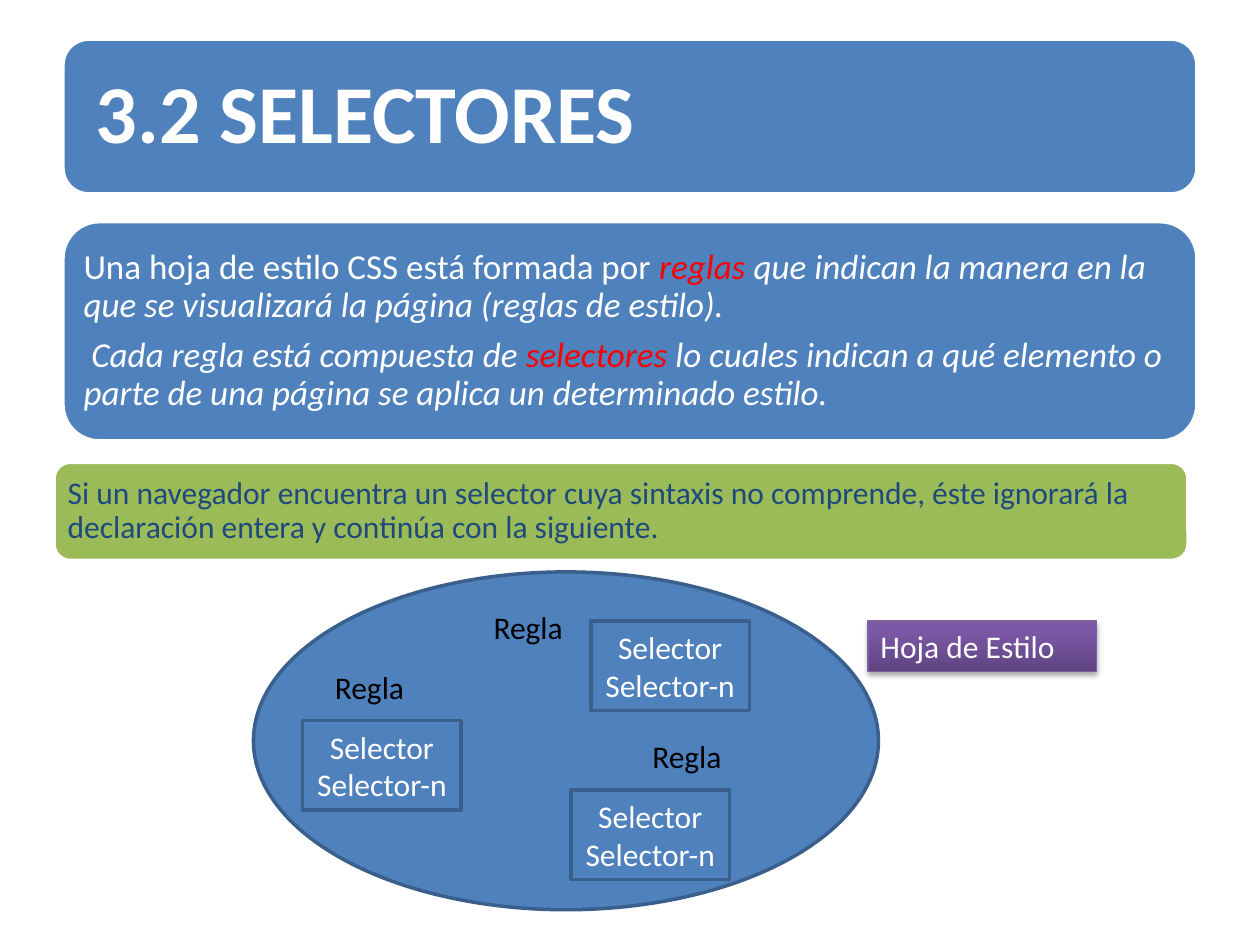
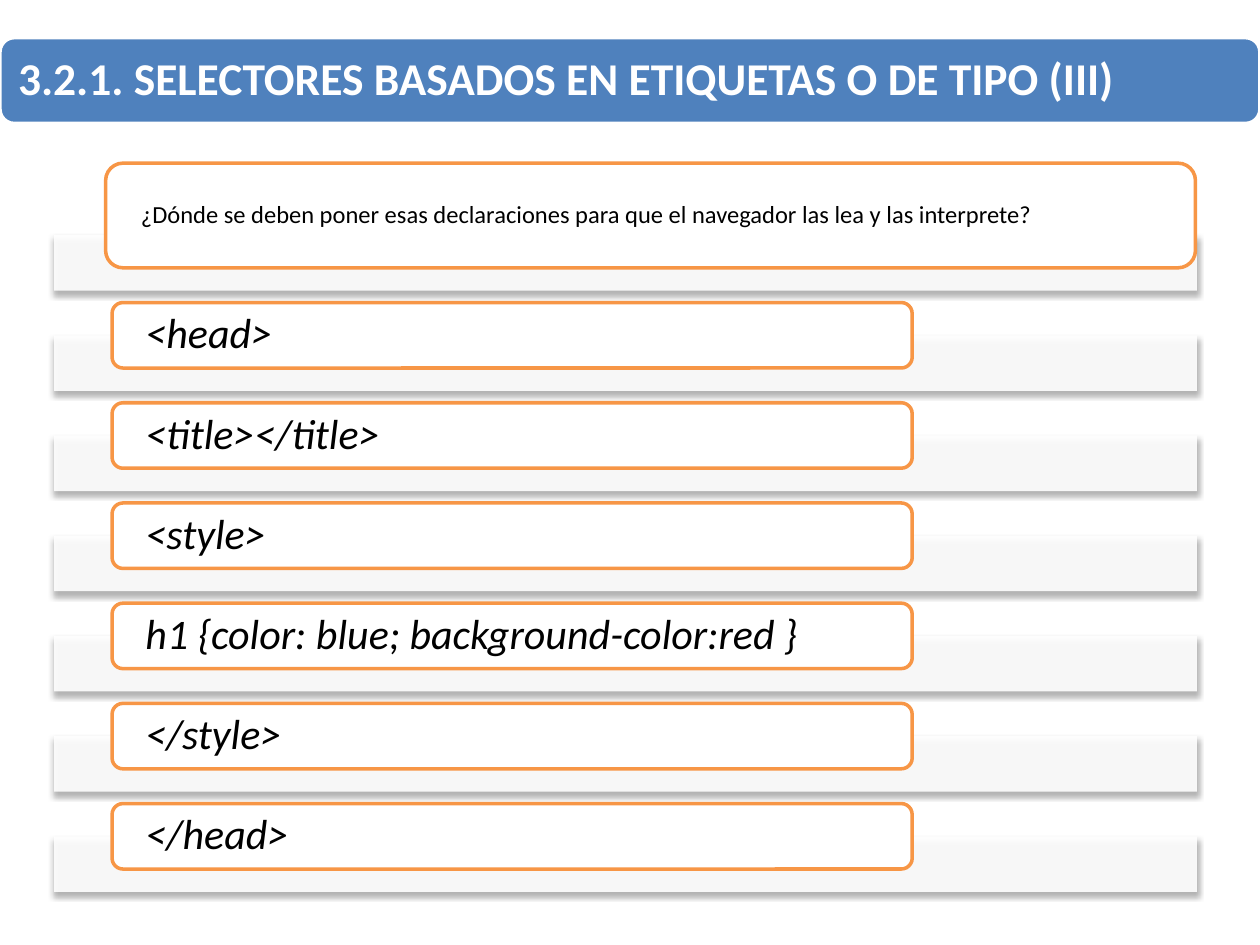
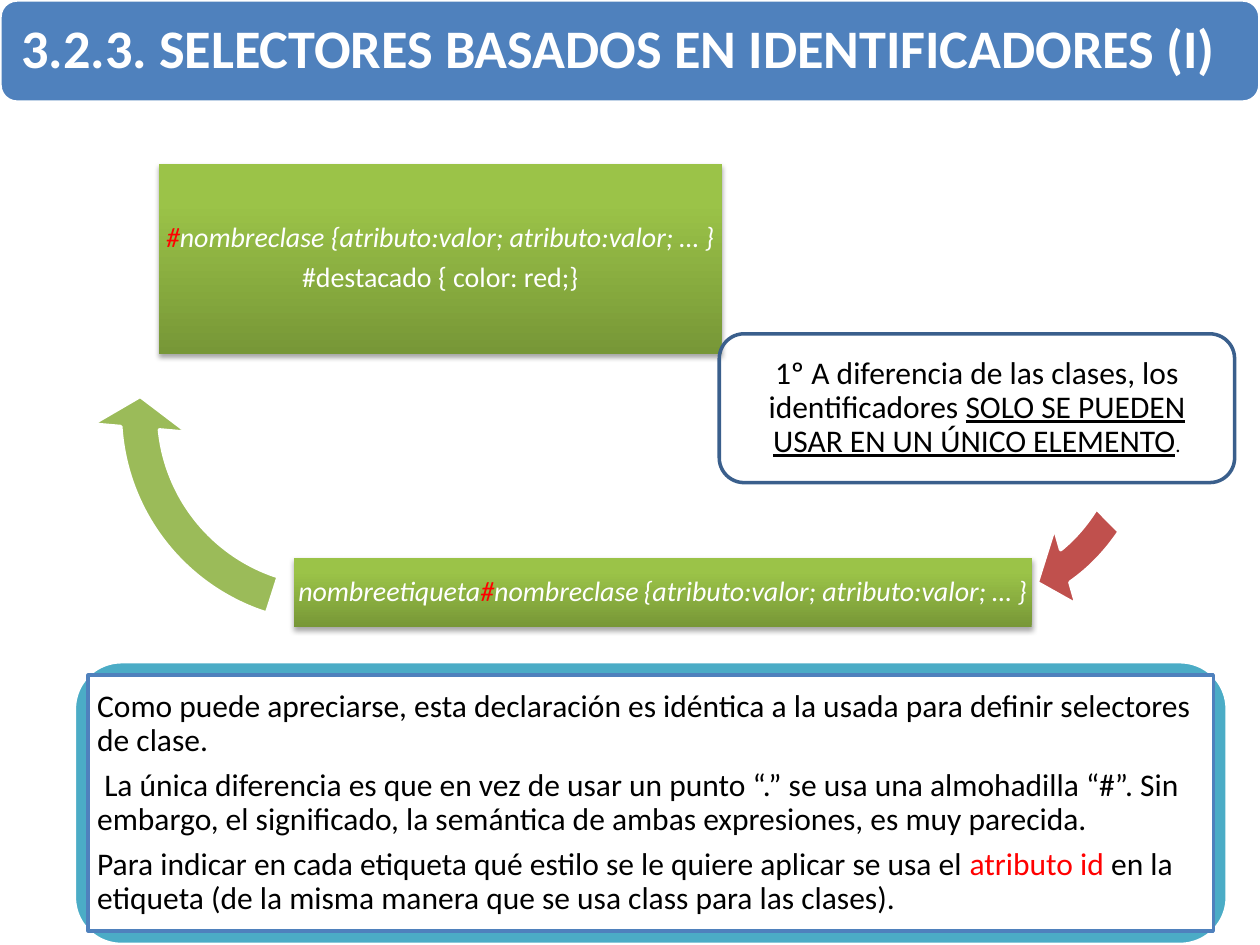
from lxml import etree
from pptx import Presentation
from pptx.dml.color import RGBColor
from pptx.enum import shapes, text
from pptx.oxml.ns import qn
from pptx.util import Cm, Pt

FONT = "Calibri"
BLUE = RGBColor(0x4F, 0x81, 0xBD)
DARK_BLUE = RGBColor(0x3A, 0x5F, 0x8C)
NAVY = RGBColor(0x1F, 0x49, 0x7D)
GREEN = RGBColor(0x9B, 0xBB, 0x59)
TEAL = RGBColor(0x4B, 0xAC, 0xC6)
ORANGE = RGBColor(0xF7, 0x96, 0x46)
BRICK = RGBColor(0xC0, 0x50, 0x4D)
RED = RGBColor(0xFF, 0, 0)
WHITE = RGBColor(0xFF, 0xFF, 0xFF)
BLACK = RGBColor(0, 0, 0)
# Gradients run from the bottom colour to the top colour.
PURPLE_FADE = (RGBColor(0x5F, 0x44, 0x80), RGBColor(0x7B, 0x58, 0xA6))
GREEN_FADE = (RGBColor(0x77, 0x97, 0x37), RGBColor(0x9B, 0xC3, 0x48))

RECT = shapes.MSO_SHAPE.RECTANGLE
ROUND = shapes.MSO_SHAPE.ROUNDED_RECTANGLE
OVAL = shapes.MSO_SHAPE.OVAL
ARC_ARROW = shapes.MSO_SHAPE.CIRCULAR_ARROW

# Shadow: opacity in percent, blur and distance in points
SOFT_SHADOW = (35, 3.1, 1.8)
STRIP_SHADOW = (32, 3.5, 2.2)

# A paragraph is a list of spans: (text, style that differs from the box).
ITALIC = {"italic": True}
MARK = {"color": RED}
ITALIC_MARK = {"italic": True, "color": RED}

INTRO = [
    [("Una hoja de estilo CSS está formada por ", {}),
     ("reglas", ITALIC_MARK),
     (" que indican la manera en la que se visualizará la página (reglas de estilo).", ITALIC)],
    [(" Cada regla está compuesta de ", ITALIC),
     ("selectores", ITALIC_MARK),
     (" lo cuales indican a qué elemento o parte de una página se aplica un "
      "determinado estilo.", ITALIC)],
]
BROWSER_NOTE = [[("Si un navegador encuentra un selector cuya sintaxis no comprende, éste "
                  "ignorará la declaración entera y continúa con la siguiente.", {})]]
SHEET_LABEL = [[("Hoja de Estilo", {})]]
RULE_LABEL = [[("Regla", {})]]
SELECTORS = [[("Selector", {})], [("Selector-n", {})]]
RULE_PLACES = [(9.7, 12.12), (6.5, 13.34), (12.9, 14.73)]
SELECTOR_PLACES = [(6.1, 14.53), (11.51, 15.93), (11.91, 12.52)]

QUESTION = ("¿Dónde se deben poner esas declaraciones para que el navegador "
            "las lea y las interprete?")
CODE_LINES = ["<head>", "<title></title>", "<style>",
              "h1 {color: blue; background-color:red }", "</style>", "</head>"]

ID_RULE = [
    [("#", ITALIC_MARK), ("nombreclase {atributo:valor; atributo:valor; … }", ITALIC)],
    [("#destacado { color: red;}", {})],
]
TAG_RULE = [[
    ("nombreetiqueta", ITALIC), ("#", ITALIC_MARK), ("nombreclase", ITALIC),
    (" ", {"italic": True, "size": 12}),
    ("{atributo:valor; atributo:valor; … }", ITALIC),
]]
UNIQUE_NOTE = [[
    ("1º A diferencia de las clases, los identificadores ", {}),
    ("SOLO SE PUEDEN USAR EN UN ÚNICO ELEMENTO", {"underline": True}),
    (".", {"size": 12}),
]]
EXPLANATION = [
    [("Como puede apreciarse, esta declaración es idéntica a la usada para definir "
      "selectores de clase.", {})],
    [(" La única diferencia es que en vez de usar un punto “.” se usa una almohadilla “#”. "
      "Sin embargo, el significado, la semántica de ambas expresiones, es muy parecida.", {})],
    [("Para indicar en cada etiqueta qué estilo se le quiere aplicar se usa el ", {}),
     ("atributo id ", MARK),
     ("en la etiqueta (de la misma manera que se usa class para las clases).", {})],
]
# Place, fill and adjustments of each curved arrow
CYCLE_ARROWS = [
    ((15.82, 3.15, 8.03, 9.63), BRICK, (0.08, 5.75, 38.72, 27.15, 0.1)),
    ((1.85, 3.51, 9.63, 9.63), GREEN, (0.08, 5.75, 105.24, 64.63, 0.1)),
]


def add_shadow(shape, opacity, blur, distance):
    effects = shape._element.spPr.find(qn("a:effectLst"))
    shadow = etree.SubElement(effects, qn("a:outerShdw"), blurRad=str(Pt(blur)),
                              dist=str(Pt(distance)), dir="5400000", rotWithShape="0")
    color = etree.SubElement(shadow, qn("a:srgbClr"), val=str(BLACK))
    etree.SubElement(color, qn("a:alpha"), val=str(opacity * 1000))


def add_figure(page, kind, place, fill=None, line=None, width=2, shadow=None):
    """Draw a preset shape; a pair of colours as fill gives a gradient."""
    shape = page.shapes.add_shape(kind, *map(Cm, place))
    shape.shadow.inherit = False
    if fill is None:
        shape.fill.background()
    elif isinstance(fill, RGBColor):
        shape.fill.solid()
        shape.fill.fore_color.rgb = fill
    else:
        shape.fill.gradient()
        shape.fill.gradient_angle = 90
        for stop, color, position in zip(shape.fill.gradient_stops, fill, (0, 0.8)):
            stop.color.rgb = color
            stop.position = position
    if line is None:
        shape.line.fill.background()
    else:
        shape.line.color.rgb = line
        shape.line.width = Pt(width)
    if shadow:
        add_shadow(shape, *shadow)
    return shape


def write(box, paragraphs, size, color=WHITE, inset=(0.25, 0.13), spacing=0.9,
          align=text.PP_ALIGN.LEFT, anchor=text.MSO_ANCHOR.MIDDLE, bold=False):
    frame = box.text_frame
    frame.word_wrap = True
    frame.vertical_anchor = anchor
    frame.margin_left = frame.margin_right = Cm(inset[0])
    frame.margin_top = frame.margin_bottom = Cm(inset[1])
    for index, spans in enumerate(paragraphs):
        para = frame.add_paragraph() if index else frame.paragraphs[0]
        para.alignment = align
        para.line_spacing = spacing
        if spacing < 1:
            para.space_after = Pt(0.35 * size)
        for words, style in spans:
            span = para.add_run()
            span.text = words
            font = span.font
            font.name = FONT
            font.size = Pt(style.get("size", size))
            font.bold = bold
            font.italic = style.get("italic", False)
            font.underline = style.get("underline", False)
            font.color.rgb = style.get("color", color)


def add_title(page, words, top, height, size, inset, left=0, width=25.4):
    band = add_figure(page, ROUND, (left, top, width, height), BLUE, WHITE)
    write(band, [[(words, {})]], size, inset=(inset, inset), bold=True)


def build_selectors(page):
    add_title(page, "3.2 SELECTORES", 0.79, 3.12, 47, 0.51, left=1.27, width=22.86)
    intro = add_figure(page, ROUND, (1.27, 4.47, 22.86, 4.42), BLUE, WHITE)
    write(intro, INTRO, 20, inset=(0.2, 0.2))

    add_figure(page, OVAL, (5.11, 11.53, 12.6, 6.81), BLUE, DARK_BLUE)
    label = add_figure(page, RECT, (17.5, 12.52, 4.6, 1.02), PURPLE_FADE,
                       RGBColor(0x7D, 0x60, 0xA0), 0.75, SOFT_SHADOW)
    write(label, SHEET_LABEL, 18, spacing=1, anchor=text.MSO_ANCHOR.TOP)
    for left, top in RULE_PLACES:
        box = page.shapes.add_textbox(Cm(left), Cm(top), Cm(2.59), Cm(1.02))
        write(box, RULE_LABEL, 18, BLACK, spacing=1, anchor=text.MSO_ANCHOR.TOP)
    for left, top in SELECTOR_PLACES:
        box = add_figure(page, RECT, (left, top, 3.2, 1.8), BLUE, DARK_BLUE)
        write(box, SELECTORS, 18, spacing=1, align=text.PP_ALIGN.CENTER)

    note = add_figure(page, ROUND, (1.09, 9.32, 22.86, 1.98), GREEN, WHITE)
    write(note, BROWSER_NOTE, 18, NAVY, inset=(0.18, 0.18))


def build_tag_selectors(page):
    add_title(page, "3.2.1. SELECTORES BASADOS EN ETIQUETAS O DE TIPO (III)",
              0.76, 1.73, 26, 0.28)
    first_strip, step, overlap = 4.74, 2.02, 0.66
    for row, words in enumerate([QUESTION] + CODE_LINES):
        strip_top = first_strip + row * step
        strip = add_figure(page, RECT, (1.09, strip_top, 23.04, 1.12), WHITE,
                           shadow=STRIP_SHADOW)
        color = strip._element.spPr.find(qn("a:solidFill"))[0]
        etree.SubElement(color, qn("a:alpha"), val="90000")

        is_code = row > 0
        left, width, height = (2.26, 16.13, 1.32) if is_code else (2.13, 21.97, 2.11)
        card = add_figure(page, ROUND, (left, strip_top + overlap - height, width, height),
                          WHITE, ORANGE)
        write(card, [[(words, {"italic": is_code})]], 24 if is_code else 14, BLACK,
              inset=(0.61, 0))


def build_id_selectors(page):
    add_title(page, "3.2.3. SELECTORES BASADOS EN IDENTIFICADORES (I)", 0, 2.06, 31, 0.33)
    for place, color, adjustments in CYCLE_ARROWS:
        arrow = add_figure(page, ARC_ARROW, place, color, WHITE)
        for index, value in enumerate(adjustments):
            arrow.adjustments[index] = value
    for place, rule in [((5.92, 11.25, 14.88, 1.4), TAG_RULE),
                        ((3.2, 3.3, 11.35, 3.84), ID_RULE)]:
        box = add_figure(page, RECT, place, GREEN_FADE, shadow=SOFT_SHADOW)
        write(box, rule, 16, inset=(0.05, 0.05), align=text.PP_ALIGN.CENTER)

    add_figure(page, ROUND, (1.5, 13.34, 23.24, 5.7), TEAL, WHITE)
    panel = add_figure(page, RECT, (1.78, 13.61, 22.68, 5.16), WHITE, BLUE)
    write(panel, EXPLANATION, 18, BLACK, inset=(0.18, 0.18))
    note = add_figure(page, ROUND, (14.5, 6.73, 10.39, 3), line=DARK_BLUE)
    write(note, UNIQUE_NOTE, 18, BLACK, inset=(0.15, 0.08), align=text.PP_ALIGN.CENTER)


def main():
    deck = Presentation()
    deck.slide_width, deck.slide_height = Cm(25.4), Cm(19.05)
    for build in (build_selectors, build_tag_selectors, build_id_selectors):
        build(deck.slides.add_slide(deck.slide_layouts[6]))
    deck.save("out.pptx")


if __name__ == "__main__":
    main()
